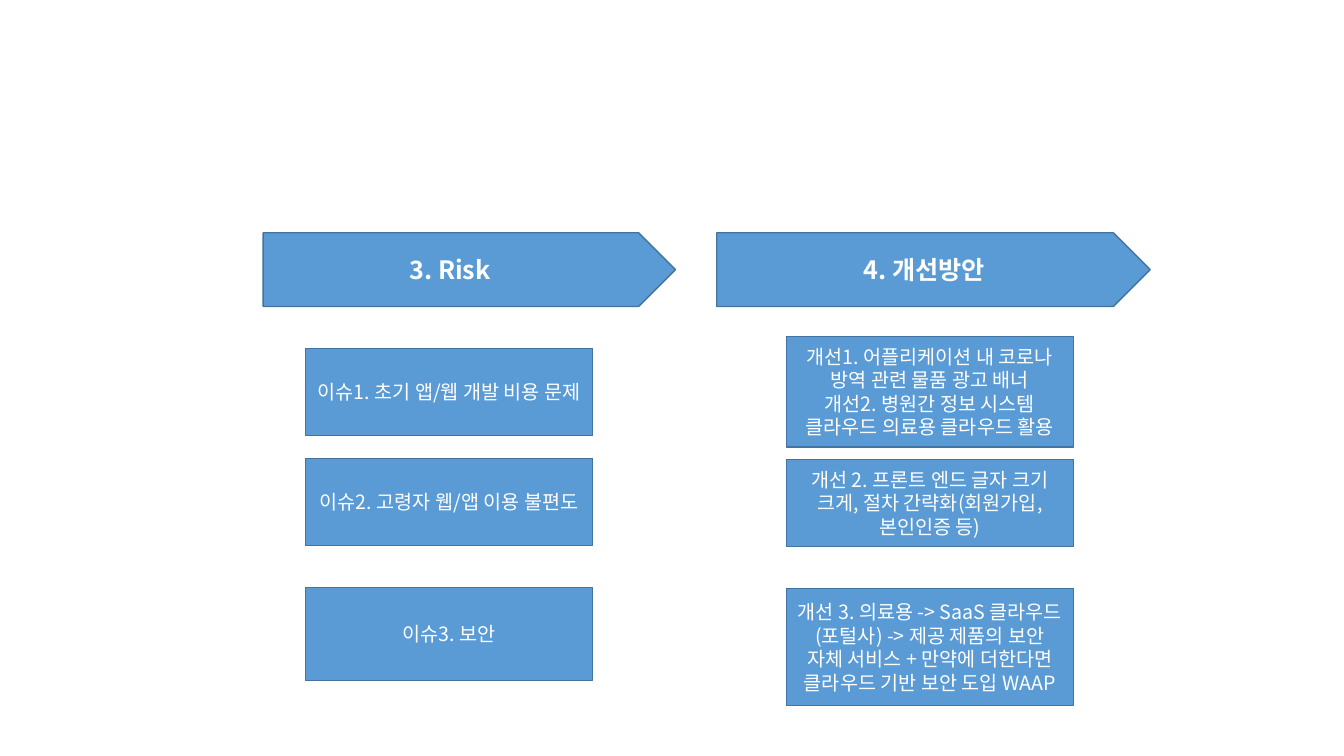
"""Build a slide pairing project risks with their improvement plans."""
from lxml import etree
from pptx import Presentation
from pptx import util as u
from pptx.dml.color import RGBColor
from pptx.enum import shapes, text
from pptx.oxml.ns import qn

FONT = "Noto Sans CJK KR"


def rgb(value):
    return RGBColor.from_string(value)


def add_block(s, kind, left, top, width, height, lines, size, bold=False):
    sp = s.shapes.add_shape(kind, u.Pt(left), u.Pt(top), u.Pt(width), u.Pt(height))
    sp.shadow.inherit = False
    sp.fill.solid()
    sp.fill.fore_color.rgb = rgb("5B9BD5")
    sp.line.color.rgb = rgb("43739E")
    sp.line.width = u.Pt(1)
    tf = sp.text_frame
    tf.word_wrap = True
    tf.vertical_anchor = text.MSO_ANCHOR.MIDDLE
    for i, line in enumerate(lines):
        p = tf.paragraphs[0] if i == 0 else tf.add_paragraph()
        p.alignment = text.PP_ALIGN.CENTER
        r = p.add_run()
        r.text = line
        r.font.name = FONT
        r.font.size = u.Pt(size)
        r.font.bold = bold
        r.font.color.rgb = rgb("FFFFFF")
        etree.SubElement(r.font._element, qn("a:ea"), typeface=FONT)
    return sp


prs = Presentation()
prs.slide_width, prs.slide_height = u.Pt(960), u.Pt(540)
s = prs.slides.add_slide(prs.slide_layouts[6])

pentagon = shapes.MSO_SHAPE.PENTAGON
risk = add_block(s, pentagon, 188, 166.3, 294.5, 52.6, ["3. Risk"], 18, True)
risk.text_frame.margin_right = u.Pt(21.6)
add_block(s, pentagon, 512, 166.3, 309.6, 52.6, ["4. 개선방안"], 18, True)

columns = [
    (218.2, [
        (249.1, 62, ["이슈1. 초기 앱/웹 개발 비용 문제"]),
        (327.6, 62, ["이슈2. 고령자 웹/앱 이용 불편도"]),
        (419.8, 66.2, ["이슈3. 보안"]),
    ]),
    (561.6, [
        (240.5, 78.8, ["개선1. 어플리케이션 내 코로나 방역 관련 물품 광고 배너",
                       "개선2. 병원간 정보 시스템 클라우드 의료용 클라우드 활용"]),
        (328.3, 62, ["개선 2. 프론트 엔드 글자 크기 크게, 절차 간략화(회원가입, 본인인증 등)"]),
        (420.5, 83.5, ["개선 3. 의료용 -> SaaS 클라우드(포털사) -> 제공 제품의 보안 자체 서비스 + "
                       "만약에 더한다면 클라우드 기반 보안 도입 WAAP"]),
    ]),
]
for left, boxes in columns:
    for top, height, lines in boxes:
        add_block(s, shapes.MSO_SHAPE.RECTANGLE, left, top, 205.2, height, lines, 14)

prs.save("out.pptx")
